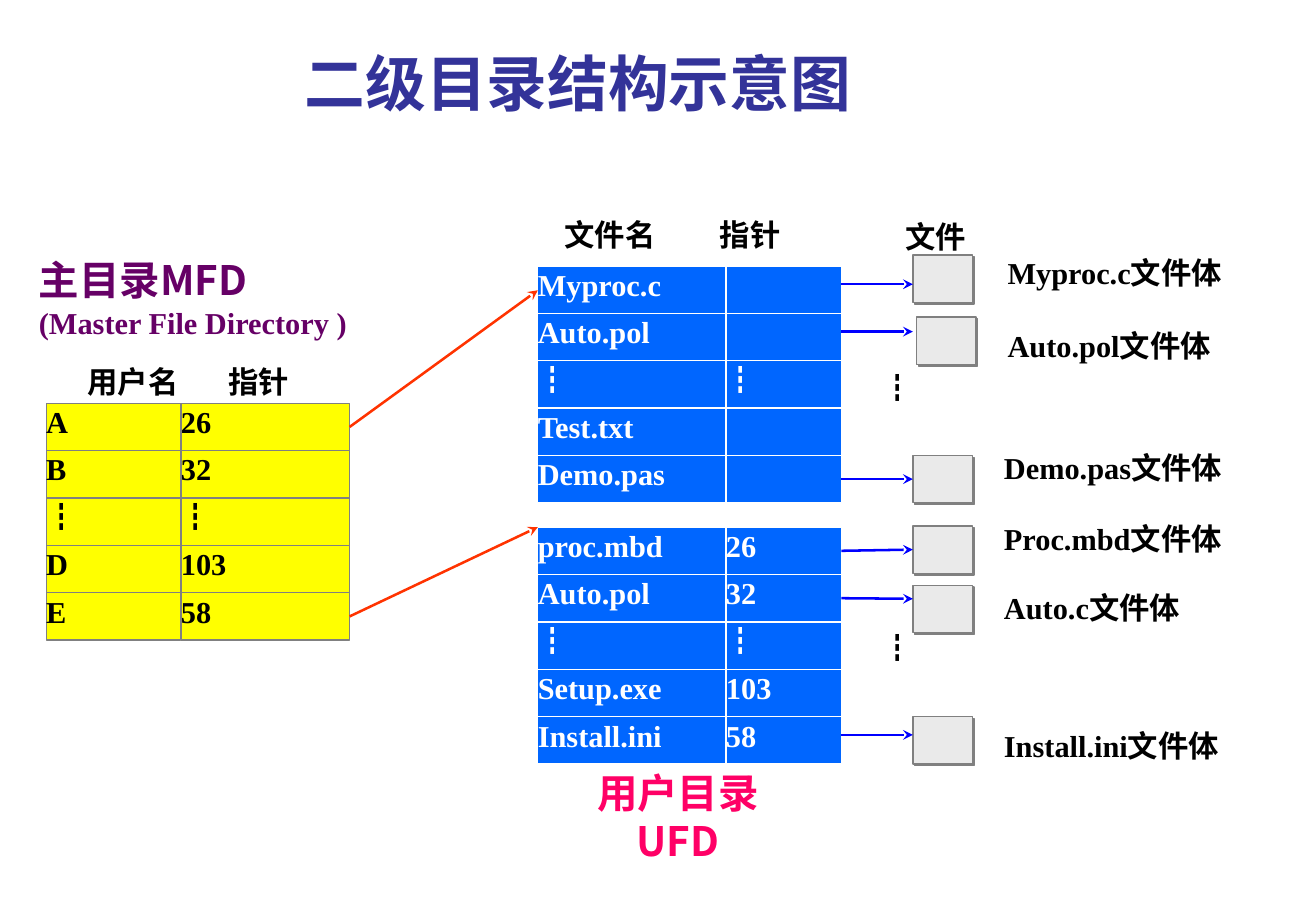
from dataclasses import dataclass

from lxml import etree
from pptx import Presentation
from pptx.dml.color import RGBColor
from pptx.enum.shapes import MSO_CONNECTOR, MSO_SHAPE
from pptx.enum.text import MSO_ANCHOR, PP_ALIGN
from pptx.oxml.ns import qn
from pptx.util import Pt

EMU_PER_PX = 9144
RECTANGLE = MSO_SHAPE.RECTANGLE
STRAIGHT = MSO_CONNECTOR.STRAIGHT
TOP = MSO_ANCHOR.TOP
LEFT, CENTER = PP_ALIGN.LEFT, PP_ALIGN.CENTER
LEFT_SIDE, RIGHT_SIDE = 1, 3
ROW_HEIGHT = 39
FILE_WIDTH = 49
JOIN_TOLERANCE = 2
DOTS = "┇"


@dataclass(frozen=True)
class Theme:
    title: str = "333399"
    master: str = "660066"
    user: str = "FF0066"
    black: str = "000000"
    white: str = "FFFFFF"
    yellow: str = "FFFF00"
    blue: str = "0066FF"
    gray: str = "808080"
    file: str = "EAEAEA"
    user_arrow: str = "FF3300"
    file_arrow: str = "0000FF"
    body_size: int = 18
    heading_size: int = 24
    title_size: int = 36
    serif: str = "Times New Roman"
    sans: str = "Noto Sans CJK SC"


THEME = Theme()


def px(length):
    return round(length * EMU_PER_PX)


def rgb(color):
    return RGBColor.from_string(color)


def row_middle(shape):
    return (shape.top + shape.height / 2) / EMU_PER_PX


class DirectorySlide:
    def __init__(self, presentation, theme):
        self.theme = theme
        self.slide = presentation.slides.add_slide(presentation.slide_layouts[6])

    def set_text(self, shape, lines, color, align=LEFT):
        """Fill a shape with paragraphs given as (text, size, font)."""
        frame = shape.text_frame
        settings = {"word_wrap": True, "vertical_anchor": TOP, "margin_left": 0,
                    "margin_right": 0, "margin_top": 0, "margin_bottom": 0}
        for name, value in settings.items():
            setattr(frame, name, value)
        for index, (text, size, font_name) in enumerate(lines):
            paragraph = frame.add_paragraph() if index else frame.paragraphs[0]
            paragraph.alignment = align
            run = paragraph.add_run()
            run.text = text
            for name, value in {"name": font_name, "size": Pt(size), "bold": True}.items():
                setattr(run.font, name, value)
            run.font.color.rgb = rgb(color)
            east_asian = etree.SubElement(run._r.get_or_add_rPr(), qn("a:ea"))
            east_asian.set("typeface", self.theme.sans)

    def label(self, box, lines, color, align=LEFT):
        shape = self.slide.shapes.add_textbox(*map(px, box))
        self.set_text(shape, lines, color, align)

    def body_label(self, left, top, width, text):
        font_name = self.theme.sans if text == DOTS else self.theme.serif
        self.label((left, top, width, 30), [(text, self.theme.body_size, font_name)],
                   self.theme.black)

    def rectangle(self, box, fill, line):
        shape = self.slide.shapes.add_shape(RECTANGLE, *map(px, box))
        shape.shadow.inherit = False
        shape.fill.solid()
        shape.fill.fore_color.rgb = rgb(fill)
        shape.line.color.rgb = rgb(line)
        shape.line.width = Pt(0.75)
        return shape

    def file_box(self, left, top):
        shape = self.rectangle((left, top, FILE_WIDTH, ROW_HEIGHT),
                               self.theme.file, self.theme.gray)
        effects = shape._element.spPr.find(qn("a:effectLst"))
        shadow = etree.SubElement(effects, qn("a:outerShdw"), blurRad="0",
                                  dist=str(int(Pt(1.4))), dir="2700000")
        etree.SubElement(shadow, qn("a:srgbClr"), val=self.theme.gray)
        return shape

    def directory(self, left, top, widths, rows, fill, line, color):
        """Draw a grid of cells and return its pointer cells."""
        pointers = []
        for index, row in enumerate(rows):
            x = left
            for width, text in zip(widths, row):
                cell = self.rectangle((x, top + index * ROW_HEIGHT, width, ROW_HEIGHT), fill, line)
                if text:
                    font_name = self.theme.sans if text == DOTS else self.theme.serif
                    self.set_text(cell, [(text, self.theme.body_size, font_name)], color)
                x += width
            pointers.append(cell)
        return pointers

    def arrow(self, start, end, color, source=None, target=None):
        """Draw an arrow, joined to a side whose middle it meets."""
        connector = self.slide.shapes.add_connector(STRAIGHT, *map(px, (*start, *end)))
        connector.line.color.rgb = rgb(color)
        connector.line.width = Pt(1.5)
        if source is not None and abs(row_middle(source) - start[1]) <= JOIN_TOLERANCE:
            connector.begin_connect(source, RIGHT_SIDE)
        if target is not None and abs(row_middle(target) - end[1]) <= JOIN_TOLERANCE:
            connector.end_connect(target, LEFT_SIDE)
        etree.SubElement(connector.line._get_or_add_ln(), qn("a:tailEnd"), type="stealth")
        etree.SubElement(connector._element.spPr, qn("a:effectLst"))


def main():
    presentation = Presentation()
    presentation.slide_width, presentation.slide_height = px(1084), px(750)
    page = DirectorySlide(presentation, THEME)

    page.label((251, 38, 520, 70), [("二级目录结构示意图", THEME.title_size, THEME.sans)],
               THEME.title)
    page.label((32, 210, 288, 71),
               [("主目录MFD", THEME.heading_size, THEME.sans),
                ("(Master File Directory )", THEME.body_size, THEME.serif)], THEME.master)
    page.label((448, 632, 221, 90),
               [(text, THEME.heading_size, THEME.sans) for text in ("用户目录", "UFD")],
               THEME.user, CENTER)
    for left, top, text in ((72, 299, "用户名"), (188, 299, "指针"), (465, 178, "文件名"),
                            (593, 178, "指针"), (746, 180, "文件"),
                            (727, 304, DOTS), (727, 518, DOTS)):
        page.body_label(left, top, 90, text)

    user_rows = (("A", "26"), ("B", "32"), (DOTS, DOTS), ("D", "103"), ("E", "58"))
    first_rows = (("Myproc.c", ""), ("Auto.pol", ""), (DOTS, DOTS), ("Test.txt", ""),
                  ("Demo.pas", ""))
    second_rows = (("proc.mbd", "26"), ("Auto.pol", "32"), (DOTS, DOTS),
                   ("Setup.exe", "103"), ("Install.ini", "58"))
    users = page.directory(38, 332, (111, 139), user_rows,
                           THEME.yellow, THEME.gray, THEME.black)
    first, second = (
        page.directory(443, top, (155, 95), rows, THEME.blue, THEME.white, THEME.white)
        for top, rows in ((219, first_rows), (434, second_rows)))

    page.arrow((288, 351), (443, 239), THEME.user_arrow, users[0])
    page.arrow((288, 507), (443, 434), THEME.user_arrow, users[4])

    files = (
        (first[0], 234, 752, 210, 830, 209, "Myproc.c文件体"),
        (first[1], 273, 755, 261, 830, 269, "Auto.pol文件体"),
        (first[4], 396, 752, 375, 827, 370, "Demo.pas文件体"),
        (second[0], 454, 752, 433, 827, 428, "Proc.mbd文件体"),
        (second[1], 493, 752, 482, 827, 485, "Auto.c文件体"),
        (second[4], 605, 752, 590, 827, 599, "Install.ini文件体"),
    )
    for pointer, arrow_y, box_left, box_top, label_left, label_top, text in files:
        target = page.file_box(box_left, box_top)
        page.arrow((693, arrow_y), (752, arrow_y), THEME.file_arrow, pointer, target)
        page.body_label(label_left, label_top, 220, text)
    presentation.save("out.pptx")


if __name__ == "__main__":
    main()
